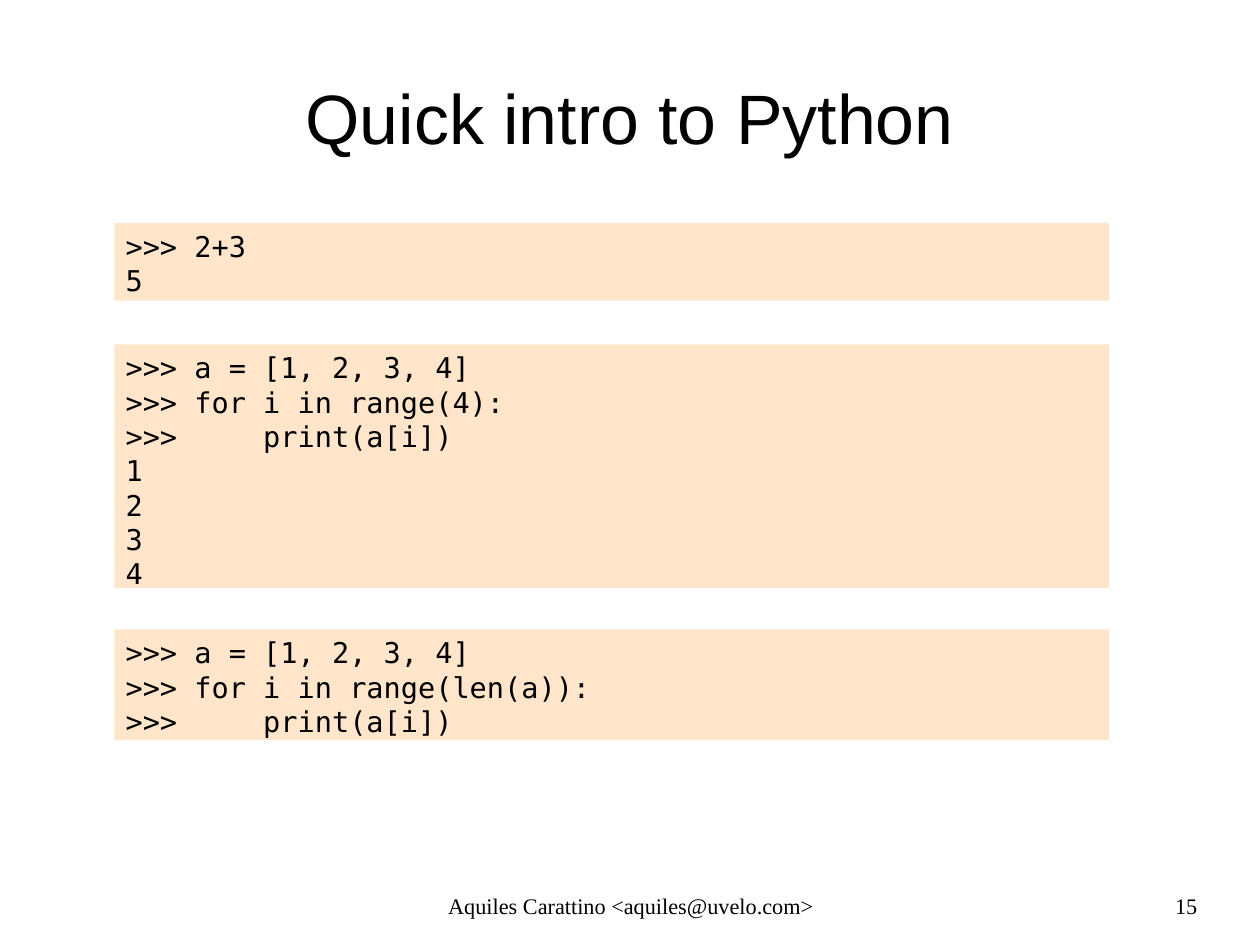
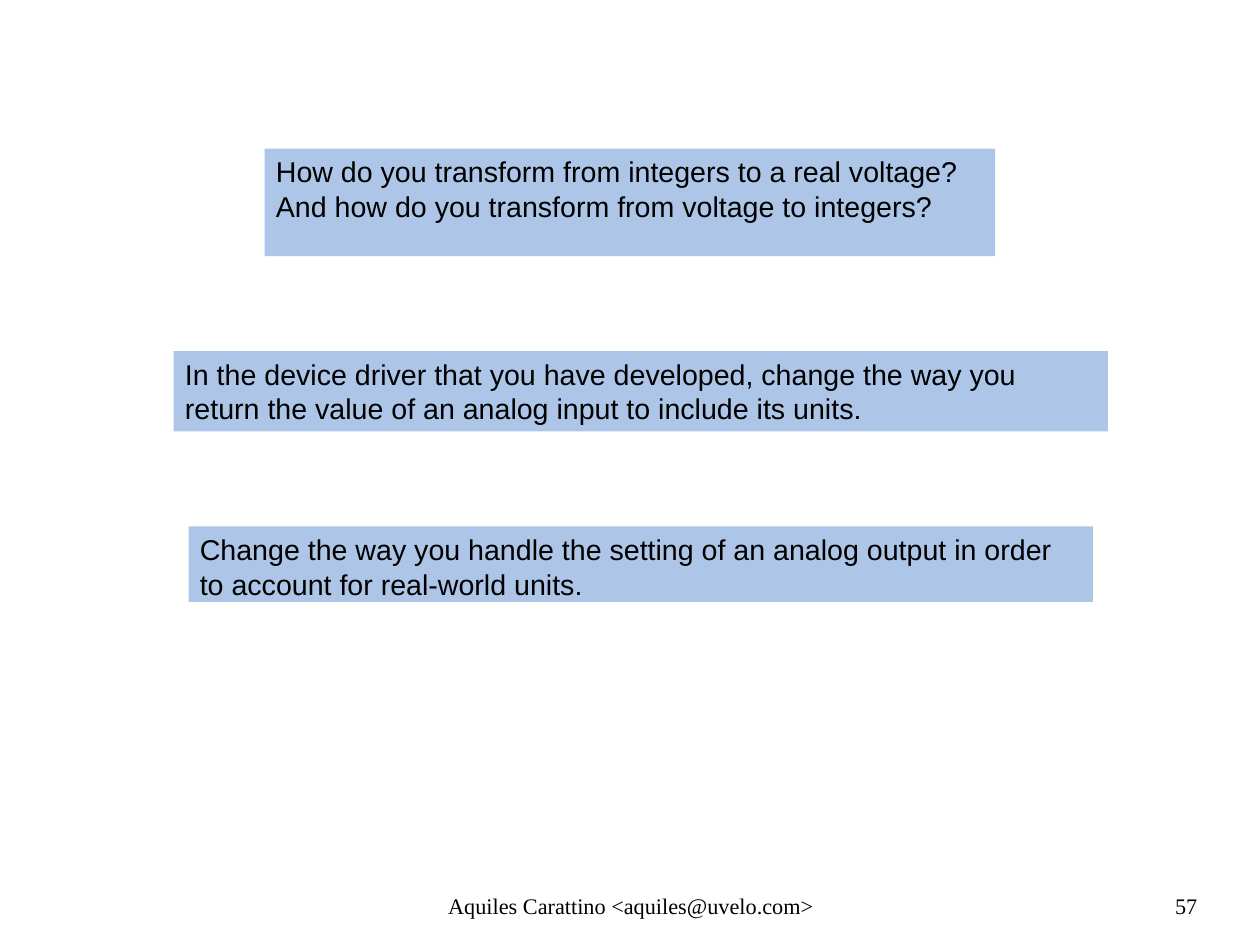
from dataclasses import dataclass

from pptx import Presentation
from pptx.dml.color import RGBColor
from pptx.enum.shapes import MSO_SHAPE as Preset
from pptx.enum.text import MSO_ANCHOR as Anchor, MSO_AUTO_SIZE as AutoSize, PP_ALIGN as Align
from pptx.slide import Slide
from pptx.text.text import TextFrame
from pptx.util import Cm, Length, Pt


@dataclass(frozen=True)
class TextStyle:
    font: str
    size: Length
    align: Align = Align.LEFT
    anchor: Anchor = Anchor.TOP
    inset_x: Length = Cm(0)
    inset_y: Length = Cm(0)


@dataclass(frozen=True)
class Theme:
    ink: RGBColor = RGBColor(0x00, 0x00, 0x00)
    code_fill: RGBColor = RGBColor(0xFF, 0xE5, 0xCA)
    exercise_fill: RGBColor = RGBColor(0xAD, 0xC5, 0xE7)
    title: TextStyle = TextStyle("Arial", Pt(44), Align.CENTER, Anchor.MIDDLE)
    code: TextStyle = TextStyle("DejaVu Sans Mono", Pt(18), inset_x=Cm(0.25), inset_y=Cm(0.13))
    exercise: TextStyle = TextStyle("Arial", Pt(18), inset_x=Cm(0.25), inset_y=Cm(0.13))
    footer: TextStyle = TextStyle("Times New Roman", Pt(14), Align.CENTER)
    page_number: TextStyle = TextStyle("Times New Roman", Pt(14), Align.RIGHT)


@dataclass(frozen=True)
class Box:
    left: Length
    top: Length
    width: Length
    height: Length


@dataclass(frozen=True)
class Panel:
    box: Box
    lines: tuple[str, ...]


THEME = Theme()
TITLE_ONLY, BLANK = 5, 6

# Places shared by the slides
SLIDE_WIDTH, SLIDE_HEIGHT = Cm(27.99), Cm(21.01)
TITLE_BOX = Box(Cm(1.4), Cm(0.84), Cm(25.2), Cm(3.5))
FOOTER_BOX = Box(Cm(9.59), Cm(19.82), Cm(8.86), Cm(0.94))
NUMBER_BOX = Box(Cm(20.07), Cm(19.82), Cm(6.53), Cm(0.91))
FOOTER_TEXT = "Aquiles Carattino <aquiles@uvelo.com>"


def code_panel(top: float, height: float, *lines: str) -> Panel:
    return Panel(Box(Cm(2.54), Cm(top), Cm(22.1), Cm(height)), lines)


CODE_PANELS = (
    code_panel(4.95, 1.73, ">>> 2+3", "5"),
    code_panel(7.65, 5.41, ">>> a = [1, 2, 3, 4]", ">>> for i in range(4):",
               ">>>     print(a[i])", "1", "2", "3", "4"),
    code_panel(13.98, 2.46, ">>> a = [1, 2, 3, 4]", ">>> for i in range(len(a)):",
               ">>>     print(a[i])"),
)

EXERCISES = (
    Panel(Box(Cm(3.86), Cm(7.8), Cm(20.75), Cm(1.78)),
          ("In the device driver that you have developed, change the way you "
           "return the value of an analog input to include its units.",)),
    Panel(Box(Cm(4.19), Cm(11.69), Cm(20.09), Cm(1.68)),
          ("Change the way you handle the setting of an analog output in order "
           "to account for real-world units.",)),
    Panel(Box(Cm(5.88), Cm(3.3), Cm(16.23), Cm(2.39)),
          ("How do you transform from integers to a real voltage?",
           "And how do you transform from voltage to integers?")),
)


def write(frame: TextFrame, lines: tuple[str, ...], style: TextStyle) -> None:
    frame.word_wrap = True
    frame.auto_size = AutoSize.NONE
    frame.vertical_anchor = style.anchor
    frame.margin_left = frame.margin_right = style.inset_x
    frame.margin_top = frame.margin_bottom = style.inset_y
    for index, line in enumerate(lines):
        paragraph = frame.add_paragraph() if index else frame.paragraphs[0]
        paragraph.alignment = style.align
        run = paragraph.add_run()
        run.text = line
        run.font.name = style.font
        run.font.size = style.size
        run.font.color.rgb = THEME.ink


def add_title(slide: Slide, text: str) -> None:
    title = slide.shapes.title
    title.left, title.top = TITLE_BOX.left, TITLE_BOX.top
    title.width, title.height = TITLE_BOX.width, TITLE_BOX.height
    write(title.text_frame, (text,), THEME.title)


def add_panel(slide: Slide, panel: Panel, fill: RGBColor, style: TextStyle) -> None:
    box = panel.box
    shape = slide.shapes.add_shape(Preset.RECTANGLE, box.left, box.top, box.width, box.height)
    shape.shadow.inherit = False
    shape.fill.solid()
    shape.fill.fore_color.rgb = fill
    shape.line.fill.background()
    write(shape.text_frame, panel.lines, style)


def add_label(slide: Slide, box: Box, text: str, style: TextStyle) -> None:
    label = slide.shapes.add_textbox(box.left, box.top, box.width, box.height)
    write(label.text_frame, (text,), style)


def add_footer(slide: Slide, number: int) -> None:
    add_label(slide, FOOTER_BOX, FOOTER_TEXT, THEME.footer)
    add_label(slide, NUMBER_BOX, str(number), THEME.page_number)


def main() -> None:
    deck = Presentation()
    deck.slide_width = SLIDE_WIDTH
    deck.slide_height = SLIDE_HEIGHT

    # Python introduction
    intro = deck.slides.add_slide(deck.slide_layouts[TITLE_ONLY])
    add_title(intro, "Quick intro to Python")
    for panel in CODE_PANELS:
        add_panel(intro, panel, THEME.code_fill, THEME.code)
    add_footer(intro, 15)

    # Exercises on units
    units = deck.slides.add_slide(deck.slide_layouts[BLANK])
    for panel in EXERCISES:
        add_panel(units, panel, THEME.exercise_fill, THEME.exercise)
    add_footer(units, 57)

    deck.save("out.pptx")


if __name__ == "__main__":
    main()
